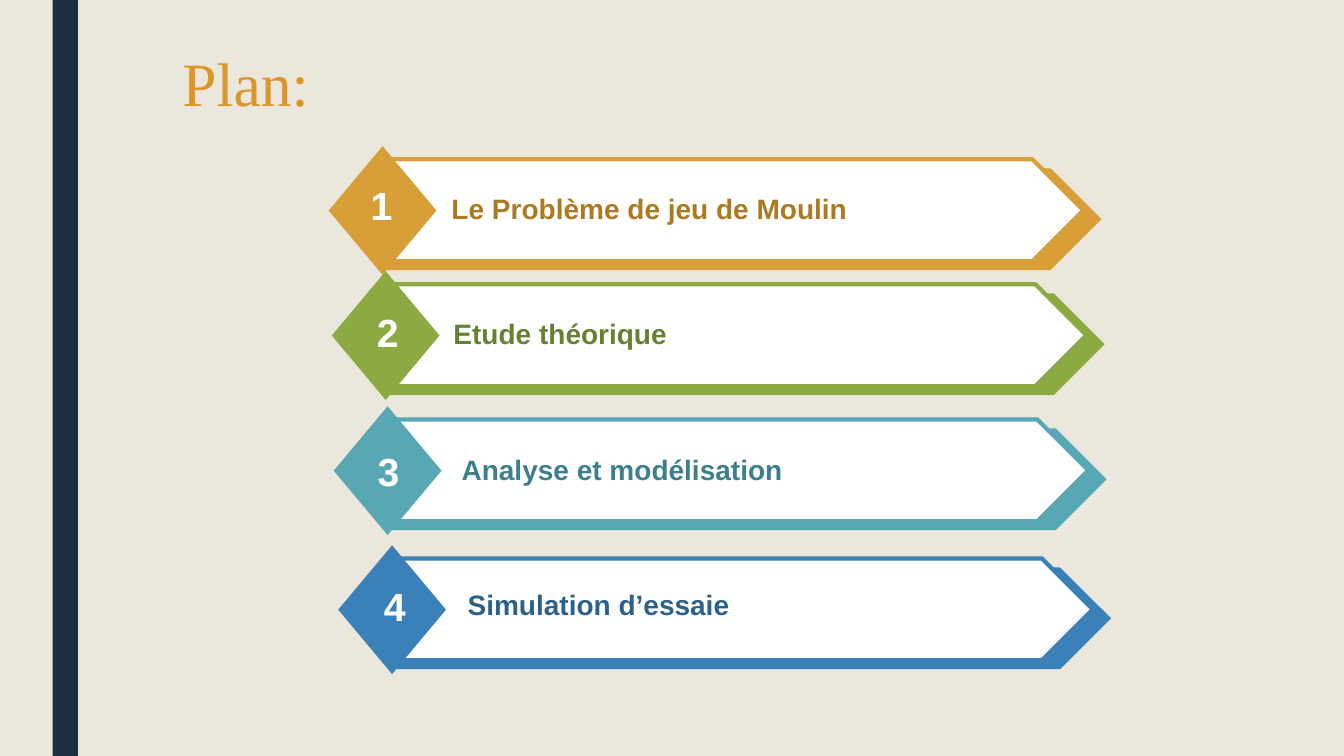
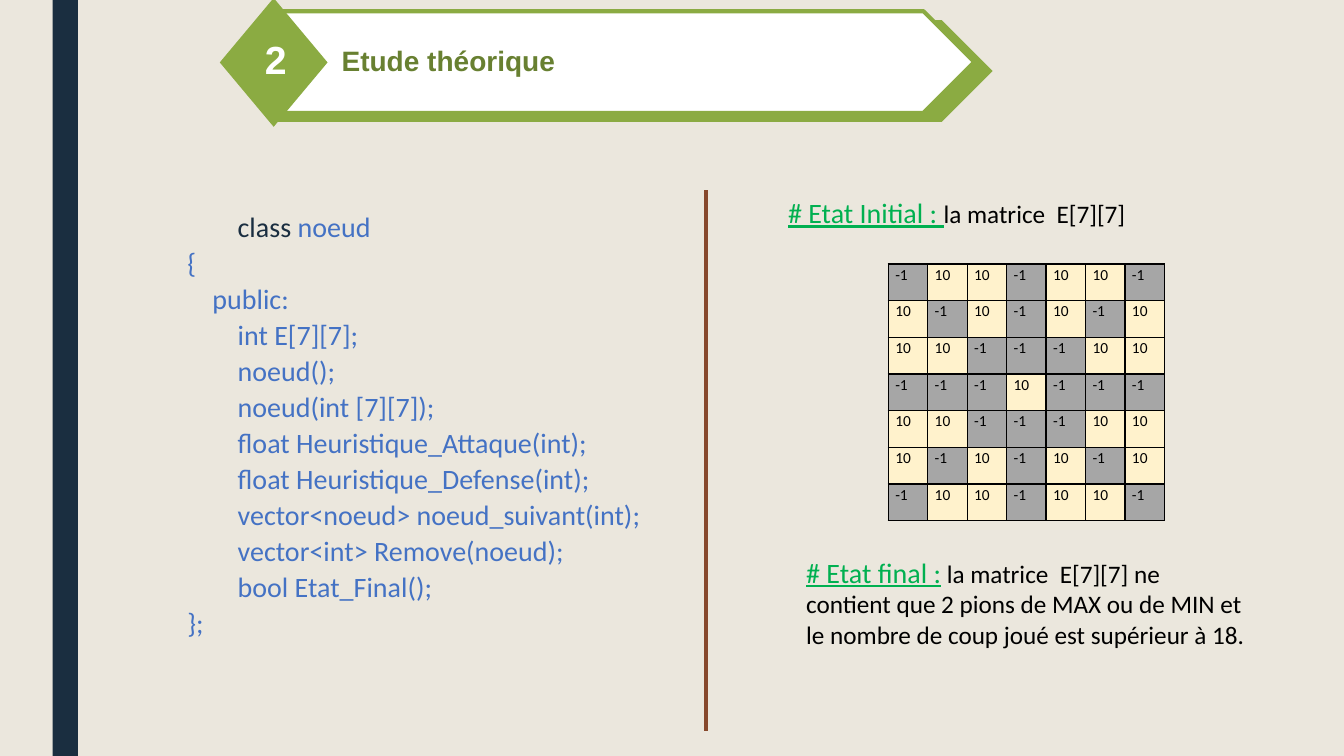
from dataclasses import dataclass, replace

from lxml import etree
from pptx import Presentation
from pptx.dml.color import RGBColor
from pptx.enum import shapes, text
from pptx.oxml import ns
from pptx.util import Pt

SAND = RGBColor(0xEB, 0xE7, 0xDD)
NAVY = RGBColor(0x1A, 0x2E, 0x40)
WHITE = RGBColor(0xFF, 0xFF, 0xFF)
BLACK = RGBColor(0x00, 0x00, 0x00)
ORANGE = RGBColor(0xDC, 0x95, 0x28)
CODE_BLUE = RGBColor(0x44, 0x72, 0xC4)
HEADING_GREEN = RGBColor(0x00, 0xB0, 0x50)
BROWN = RGBColor(0x87, 0x49, 0x2C)
GREY = RGBColor(0xA6, 0xA6, 0xA6)
CREAM = RGBColor(0xFF, 0xF2, 0xCC)

SANS, SERIF, BODY = "Arial", "Times New Roman", "Calibri"
TITLE_ONLY = 5
GRID_SIZE = 7
CODE_MARGIN, CODE_INDENT = 72, 18


@dataclass(frozen=True)
class Banner:
    number: int
    label: str
    accent: RGBColor
    ink: RGBColor
    left: float
    top: float
    number_offset: tuple[float, float]
    label_offset: tuple[float, float]


THEORY = Banner(2, "Etude théorique", RGBColor(0x8B, 0xAB, 0x42), RGBColor(0x68, 0x80, 0x31),
                237, 193.7, (23, 23), (79.8, 28.8))
PLAN = (
    Banner(1, "Le Problème de jeu de Moulin", RGBColor(0xD8, 0x9F, 0x39),
           RGBColor(0xAB, 0x7A, 0x22), 234.8, 104.4, (20.8, 21.6), (80.6, 28.8)),
    THEORY,
    Banner(3, "Analyse et modélisation", RGBColor(0x57, 0xA7, 0xB5),
           RGBColor(0x3D, 0x80, 0x8C), 238.4, 290.2, (22.2, 25.9), (84.2, 29.5)),
    Banner(4, "Simulation d’essaie", RGBColor(0x3A, 0x81, 0xBA),
           RGBColor(0x2B, 0x61, 0x8B), 241.6, 389.5, (23.4, 23), (85.3, 26.7)),
)

CODE = (
    (0, "{"),
    (1, "public:"),
    (2, "int E[7][7];"),
    (2, "noeud();"),
    (2, "noeud(int [7][7]);"),
    (2, "float Heuristique_Attaque(int);"),
    (2, "float Heuristique_Defense(int);"),
    (2, "vector<noeud> noeud_suivant(int);"),
    (2, "vector<int> Remove(noeud);"),
    (2, "bool Etat_Final();"),
    (0, "};"),
)


def style(font, name: str, size: float, color: RGBColor, bold: bool = False) -> None:
    font.name, font.size, font.bold = name, Pt(size), bold
    font.color.rgb = color


def place(box, left: float, top: float, width: float, height: float) -> None:
    box.left, box.top, box.width, box.height = map(Pt, (left, top, width, height))


def add_box(page, left: float, top: float, width: float, height: float):
    box = page.shapes.add_textbox(*map(Pt, (left, top, width, height)))
    box.text_frame.word_wrap = True
    return box


def add_solid(target, kind, left: float, top: float, width: float, height: float,
              fill: RGBColor, line: RGBColor | None = None):
    shape = target.add_shape(kind, *map(Pt, (left, top, width, height)))
    shape.shadow.inherit = False
    shape.fill.solid()
    shape.fill.fore_color.rgb = fill
    if line is None:
        shape.line.fill.background()
    else:
        shape.line.color.rgb = line
        shape.line.width = Pt(3)
    return shape


def set_title(page, title: str):
    box = page.shapes.title
    frame = box.text_frame
    frame.text = title
    frame.vertical_anchor = text.MSO_ANCHOR.TOP
    frame.auto_size = text.MSO_AUTO_SIZE.NONE
    frame.paragraphs[0].alignment = text.PP_ALIGN.LEFT
    box.element.getparent().append(box.element)
    return box


def draw_banner(page, banner: Banner) -> None:
    group = page.shapes.add_group_shape().shapes
    plate, diamond = shapes.MSO_SHAPE.PENTAGON, shapes.MSO_SHAPE.DIAMOND
    left, top = banner.left, banner.top
    add_solid(group, plate, left + 41, top + 15.8, 511, 72.7, banner.accent)
    add_solid(group, plate, left + 41, top + 9.4, 498, 72.7, WHITE, banner.accent)
    add_solid(group, diamond, left, top, 77, 92, banner.accent)

    across, down = banner.number_offset
    box = add_box(page, left + across, top + down, 34, 41)
    box.text_frame.vertical_anchor = text.MSO_ANCHOR.MIDDLE
    para = box.text_frame.paragraphs[0]
    para.text = str(banner.number)
    para.alignment = text.PP_ALIGN.CENTER
    style(para.font, SANS, 28, WHITE, bold=True)


def format_label(box, banner: Banner) -> None:
    across, down = banner.label_offset
    place(box, banner.left + across, banner.top + down, 400, 32)
    style(box.text_frame.paragraphs[0].font, SANS, 20, banner.ink, bold=True)


def draw_code(page) -> None:
    frame = add_box(page, 54.7, 144.7, 449.3, 342.7).text_frame
    opening = frame.paragraphs[0]
    for word, color in (("class ", NAVY), ("noeud", CODE_BLUE)):
        span = opening.add_run()
        span.text = word
        style(span.font, BODY, 20, color)
    lines = [(2, opening)]
    for level, line in CODE:
        para = frame.add_paragraph()
        para.text = line
        style(para.font, BODY, 20, CODE_BLUE)
        lines.append((level, para))
    for level, para in lines:
        para.line_spacing = 1.07
        margin = Pt(CODE_MARGIN + level * CODE_INDENT)
        para._p.get_or_add_pPr().set("marL", str(margin))


def draw_state(page, heading: str, detail: str,
               left: float, top: float, width: float, height: float) -> None:
    para = add_box(page, left, top, width, height).text_frame.paragraphs[0]
    para.font.name = BODY
    for words, size, color, underline in ((heading, 20, HEADING_GREEN, True),
                                          (detail, 18, BLACK, False)):
        span = para.add_run()
        span.text = words
        span.font.size = Pt(size)
        span.font.color.rgb = color
        span.font.underline = underline


def border_cell(cell) -> None:
    properties = cell._tc.get_or_add_tcPr()
    for position, side in enumerate(("lnL", "lnR", "lnT", "lnB")):
        line = etree.Element(ns.qn(f"a:{side}"), w=str(Pt(1)))
        fill = etree.SubElement(line, ns.qn("a:solidFill"))
        etree.SubElement(fill, ns.qn("a:srgbClr"), val=str(BLACK))
        properties.insert(position, line)


def is_blocked(row: int, column: int) -> bool:
    middle, last = GRID_SIZE // 2, GRID_SIZE - 1
    if row == column == middle:
        return False
    return row == column or row + column == last or middle in (row, column)


def draw_matrix(page) -> None:
    frame = page.shapes.add_table(GRID_SIZE, GRID_SIZE, Pt(634.5), Pt(188.5),
                                  Pt(197.4), Pt(183.4))
    table = frame.table
    table.first_row = table.horz_banding = False
    for column in table.columns:
        column.width = Pt(28.2)
    for row_index, row in enumerate(table.rows):
        row.height = Pt(26.2)
        for column_index, cell in enumerate(row.cells):
            blocked = is_blocked(row_index, column_index)
            cell.fill.solid()
            cell.fill.fore_color.rgb = GREY if blocked else CREAM
            cell.margin_left = cell.margin_right = Pt(5)
            cell.margin_top = cell.margin_bottom = Pt(0)
            para = cell.text_frame.paragraphs[0]
            para.text = "-1" if blocked else "10"
            para.line_spacing = 1.07
            style(para.font, BODY, 11, BLACK)
            border_cell(cell)


def draw_divider(page) -> None:
    line = page.shapes.add_connector(shapes.MSO_CONNECTOR.STRAIGHT,
                                     Pt(504), Pt(136), Pt(504), Pt(522))
    line.line.color.rgb = BROWN
    line.line.width = Pt(2.75)
    etree.SubElement(line.element.spPr, ns.qn("a:effectLst"))


def style_master(deck, page) -> None:
    master = deck.slide_master
    master.background.fill.solid()
    master.background.fill.fore_color.rgb = SAND
    band = add_solid(page.shapes, shapes.MSO_SHAPE.RECTANGLE, 37.6, 0, 18, 540, NAVY)
    master.shapes.element.append(band.element)


def build_plan(page) -> None:
    title = set_title(page, "Plan:")
    place(title, 123, 34.6, 614, 60)
    para = title.text_frame.paragraphs[0]
    para.line_spacing = 0.89
    style(para.font, SERIF, 44, ORANGE)
    for banner in PLAN:
        draw_banner(page, banner)
        label = add_box(page, 0, 0, 0, 0)
        label.text_frame.text = banner.label
        format_label(label, banner)


def build_theory(page) -> None:
    banner = replace(THEORY, left=157, top=-1.4)
    draw_banner(page, banner)
    format_label(set_title(page, banner.label), banner)
    draw_code(page)
    draw_matrix(page)
    draw_state(page, "# Etat Initial : ", "la matrice  E[7][7]", 555.8, 136, 262, 32)
    draw_state(page, "# Etat final :",
               " la matrice  E[7][7] ne contient que 2 pions de MAX ou de MIN et "
               "le nombre de coup joué est supérieur à 18.", 568.8, 393, 328.3, 75)
    draw_divider(page)


def main() -> None:
    deck = Presentation()
    deck.slide_width, deck.slide_height = Pt(960), Pt(540)
    layout = deck.slide_layouts[TITLE_ONLY]
    plan, theory = (deck.slides.add_slide(layout) for _ in range(2))
    style_master(deck, plan)
    build_plan(plan)
    build_theory(theory)
    deck.save("out.pptx")


if __name__ == "__main__":
    main()
